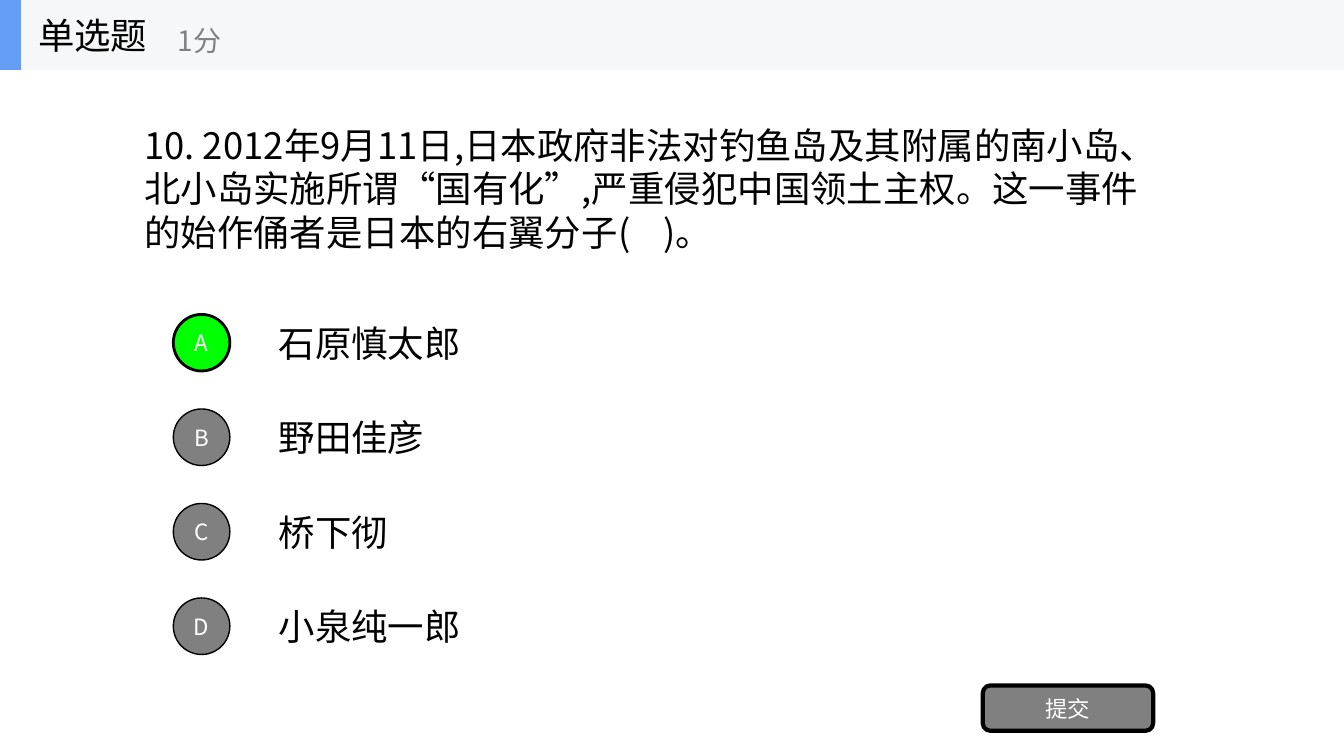
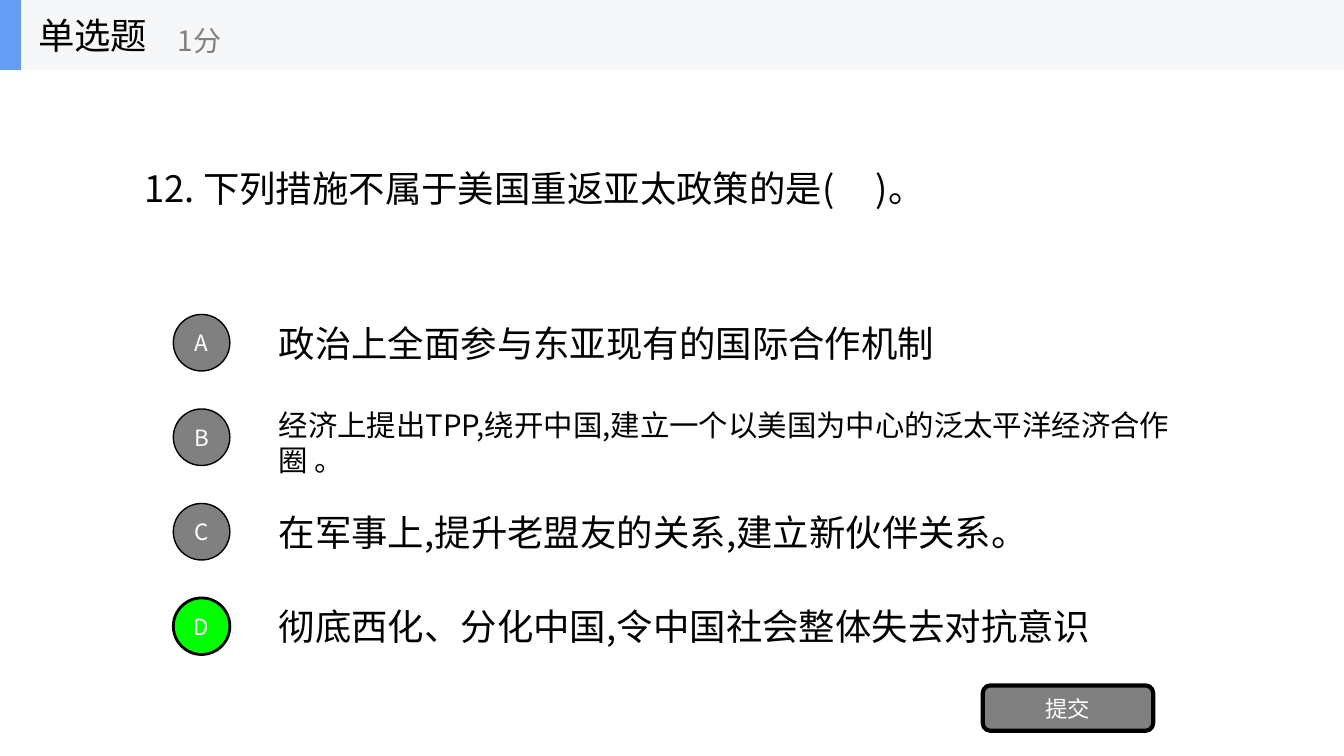
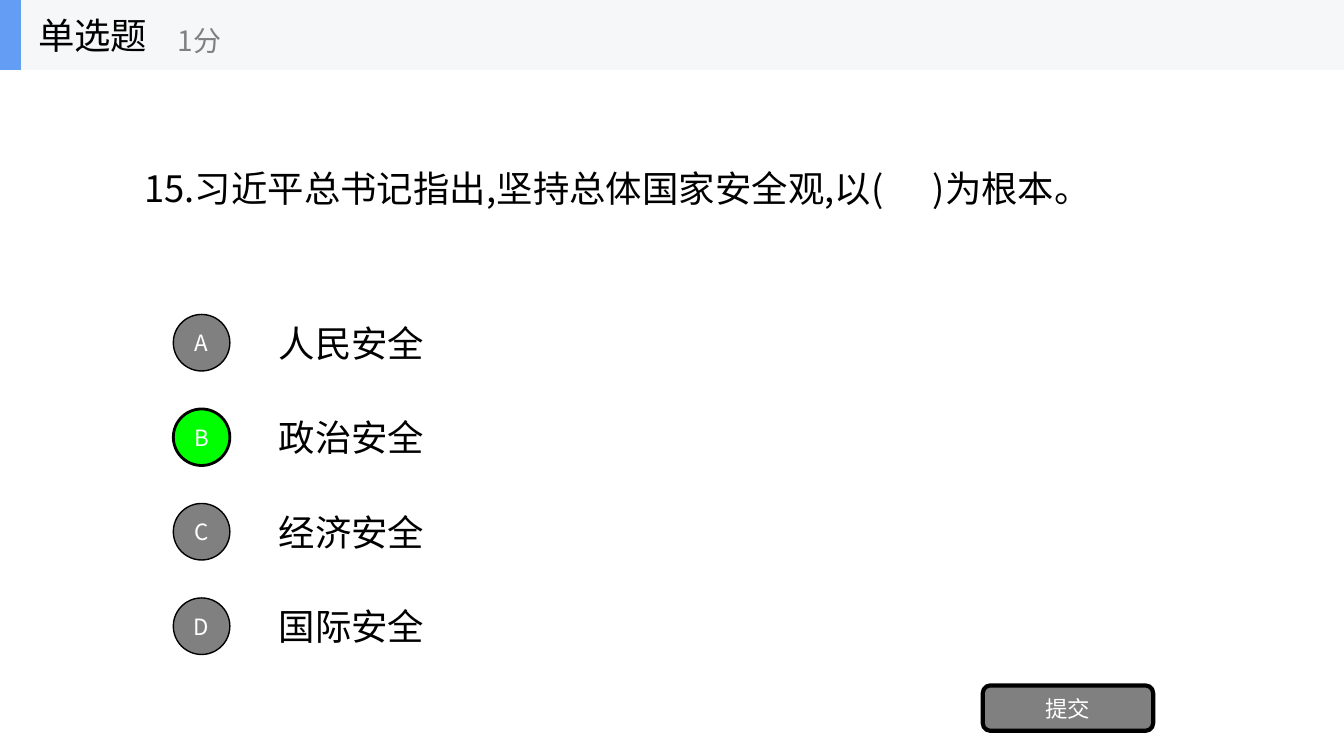
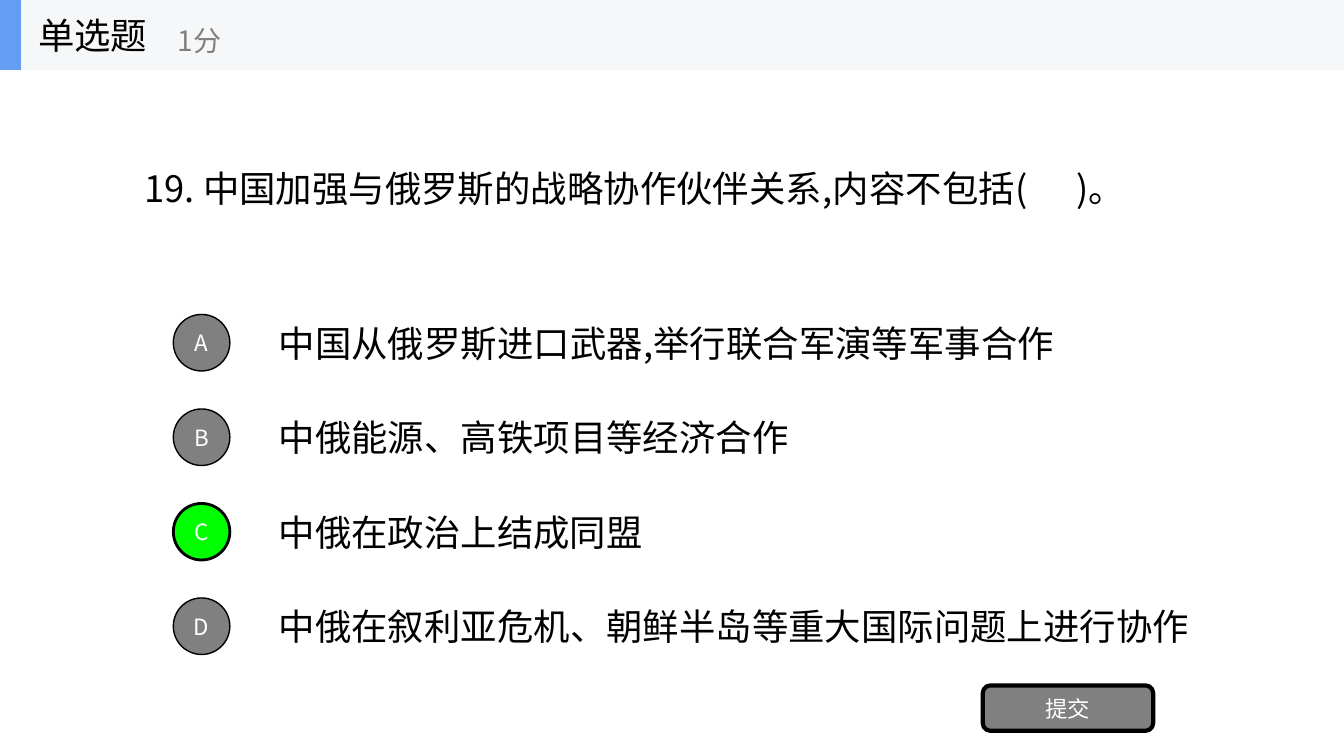
from dataclasses import dataclass

from lxml import etree
from pptx import Presentation
from pptx.dml.color import RGBColor
from pptx.enum import shapes, text
from pptx.oxml import ns
from pptx.util import Pt

FONT = "Noto Sans CJK SC"
BLACK = RGBColor(0x00, 0x00, 0x00)
WHITE = RGBColor(0xFF, 0xFF, 0xFF)
GRAY = RGBColor(0x80, 0x80, 0x80)
GREEN = RGBColor(0x00, 0xFF, 0x00)
BLUE = RGBColor(0x63, 0x9E, 0xF4)
PALE = RGBColor(0xF6, 0xF7, 0xF8)

SLIDE_WIDTH, SLIDE_HEIGHT = 960, 540
BAND_HEIGHT = 50
BODY_SIZE = 26
LINE_HEIGHT = 38
QUESTION_LEFT, QUESTION_MIDDLE = 96, 134.4
OPTION_LEFT, OPTION_MIDDLE, OPTION_STEP = 192, 244.8, 67.5
BADGE_LEFT, BADGE_SIZE = 123.8, 40.4


@dataclass
class Option:
    text: str
    size: int = BODY_SIZE
    width: float = 0
    height: float = LINE_HEIGHT
    shift: float = 0

    def box_width(self):
        """Width of one line: full-width characters, commas a quarter as wide, and insets."""
        return self.width or 22 + self.size * (len(self.text) - 0.75 * self.text.count(","))


@dataclass
class Quiz:
    question: str
    width: float
    options: list
    answer: str
    height: float = LINE_HEIGHT


QUIZZES = [
    Quiz("10. 2012年9月11日,日本政府非法对钓鱼岛及其附属的南小岛、北小岛实施所谓“国有化”,"
         "严重侵犯中国领土主权。这一事件的始作俑者是日本的右翼分子(    )。",
         749,
         [Option("石原慎太郎"), Option("野田佳彦"), Option("桥下彻"), Option("小泉纯一郎")],
         "A", height=100.8),
    Quiz("12. 下列措施不属于美国重返亚太政策的是(     )。",
         590.4,
         [Option("政治上全面参与东亚现有的国际合作机制"),
          Option("经济上提出TPP,绕开中国,建立一个以美国为中心的泛太平洋经济合作圈 。",
                 size=21, width=666.7, height=58.3, shift=3.6),
          Option("在军事上,提升老盟友的关系,建立新伙伴关系。"),
          Option("彻底西化、分化中国,令中国社会整体失去对抗意识")],
         "D"),
    Quiz("15.习近平总书记指出,坚持总体国家安全观,以(      )为根本。",
         707,
         [Option("人民安全"), Option("政治安全"), Option("经济安全"), Option("国际安全")],
         "B"),
    Quiz("19. 中国加强与俄罗斯的战略协作伙伴关系,内容不包括(      )。",
         734.4,
         [Option("中国从俄罗斯进口武器,举行联合军演等军事合作"),
          Option("中俄能源、高铁项目等经济合作"),
          Option("中俄在政治上结成同盟"),
          Option("中俄在叙利亚危机、朝鲜半岛等重大国际问题上进行协作")],
         "C"),
]


def write(shape, words, size, color, align=text.PP_ALIGN.LEFT):
    frame = shape.text_frame
    frame.text = words
    frame.vertical_anchor = text.MSO_ANCHOR.MIDDLE
    para = frame.paragraphs[0]
    para.alignment = align
    for span in para.runs:
        span.font.size = Pt(size)
        span.font.color.rgb = color
        span.font.name = FONT
        etree.SubElement(span._r.get_or_add_rPr(), ns.qn("a:ea"), typeface=FONT)


def add_text(page, left, top, width, height, words, size=BODY_SIZE, color=BLACK, wrap=True):
    box = page.shapes.add_textbox(Pt(left), Pt(top), Pt(width), Pt(height))
    write(box, words, size, color)
    box.text_frame.word_wrap = wrap
    if wrap:
        box.text_frame.auto_size = text.MSO_AUTO_SIZE.SHAPE_TO_FIT_TEXT


def add_block(page, kind, left, top, width, height, fill, line=0, words=""):
    """Add a filled shape, with a black outline if line is given and a white label."""
    block = page.shapes.add_shape(kind, Pt(left), Pt(top), Pt(width), Pt(height))
    block.shadow.inherit = False
    block.fill.solid()
    block.fill.fore_color.rgb = fill
    if line:
        block.line.color.rgb = BLACK
        block.line.width = Pt(line)
    else:
        block.line.fill.background()
    if words:
        write(block, words, 16, WHITE, text.PP_ALIGN.CENTER)
    return block


def add_header(page):
    rectangle = shapes.MSO_SHAPE.RECTANGLE
    add_block(page, rectangle, 0, 0, SLIDE_WIDTH, BAND_HEIGHT, PALE)
    accent = add_block(page, rectangle, 0, 0, 15, BAND_HEIGHT, BLUE)
    title = page.shapes.title
    title.left, title.top, title.width, title.height = Pt(20), Pt(0), Pt(150), Pt(BAND_HEIGHT)
    write(title, "单选题", BODY_SIZE, BLACK)
    title.text_frame.word_wrap = False
    title.text_frame.auto_size = text.MSO_AUTO_SIZE.NONE
    accent.element.addnext(title.element)
    add_text(page, 120, 8.8, 180, 40, "1分", 20, GRAY, wrap=False)


def add_option(page, letter, option, middle, correct):
    add_text(page, OPTION_LEFT, middle + option.shift - option.height / 2,
             option.box_width(), option.height, option.text, option.size)
    add_block(page, shapes.MSO_SHAPE.OVAL, BADGE_LEFT, middle - BADGE_SIZE / 2,
              BADGE_SIZE, BADGE_SIZE, GREEN if correct else GRAY, 2 if correct else 1, letter)


def add_quiz(deck, quiz):
    page = deck.slides.add_slide(deck.slide_layouts.get_by_name("Title Only"))
    add_header(page)
    add_text(page, QUESTION_LEFT, QUESTION_MIDDLE - quiz.height / 2,
             quiz.width, quiz.height, quiz.question)
    for row, (letter, option) in enumerate(zip("ABCD", quiz.options)):
        add_option(page, letter, option, OPTION_MIDDLE + row * OPTION_STEP, letter == quiz.answer)
    add_block(page, shapes.MSO_SHAPE.ROUNDED_RECTANGLE, 702, 489.6, 121.7, 32.4, GRAY, 3, "提交")


def main():
    deck = Presentation()
    deck.slide_width, deck.slide_height = Pt(SLIDE_WIDTH), Pt(SLIDE_HEIGHT)
    for quiz in QUIZZES:
        add_quiz(deck, quiz)
    deck.save("out.pptx")


if __name__ == "__main__":
    main()
